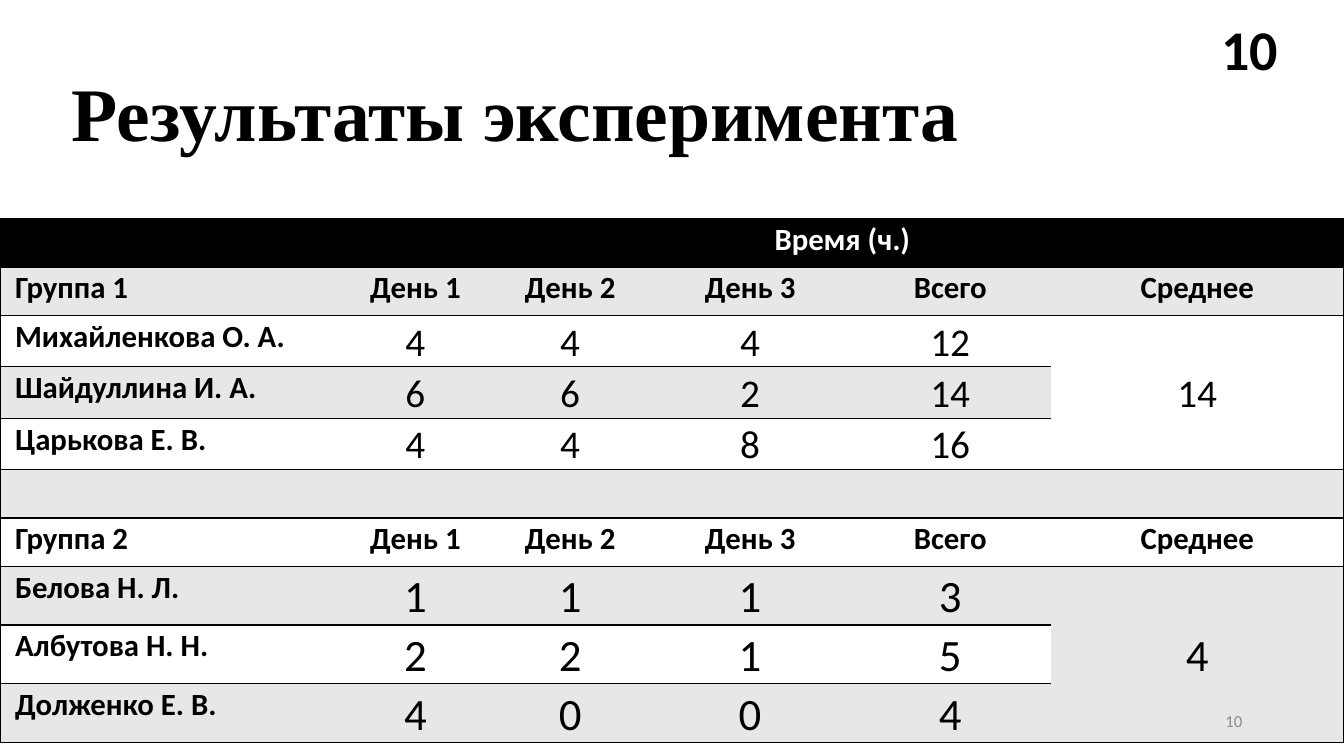
from pptx import Presentation
from pptx.dml.color import RGBColor
from pptx.enum.text import MSO_ANCHOR, MSO_AUTO_SIZE, PP_ALIGN
from pptx.oxml import parse_xml
from pptx.oxml.ns import nsdecls, qn
from pptx.util import Inches, Pt

BLACK = RGBColor(0x00, 0x00, 0x00)
WHITE = RGBColor(0xFF, 0xFF, 0xFF)
BAND = RGBColor(0xE7, 0xE7, 0xE7)
GRAY = RGBColor(0x8C, 0x8C, 0x8C)
PLAIN_STYLE = "{2D5ABB26-0587-4C30-8999-92F81FD0307C}"

COL_WIDTHS = [3.38, 1.48, 1.59, 1.98, 1.99, 2.91]
DAYS = ["День 1", "День 2", "День 3", "Всего", "Среднее"]
GROUPS = [
    ("Группа 1", 28, 0.51, 14, [
        ("Михайленкова О. А.", 4, 4, 4, 12),
        ("Шайдуллина И. А.", 6, 6, 2, 14),
        ("Царькова Е. В.", 4, 4, 8, 16)]),
    ("Группа 2", 32, 0.58, 4, [
        ("Белова Н. Л.", 1, 1, 1, 3),
        ("Албутова Н. Н.", 2, 2, 1, 5),
        ("Долженко Е. В.", 4, 0, 0, 4)]),
]
HEADER_HEIGHT = 0.48
LABEL_SIZE = 22


def format_text(tf, text, size, bold, color, align, font="Calibri"):
    tf.text = text
    p = tf.paragraphs[0]
    p.alignment = align
    p.font.name = font
    p.font.size = Pt(size)
    p.font.bold = bold
    p.font.color.rgb = color
    return p


def add_label(s, box, text, size, bold, color, align):
    sp = s.shapes.add_textbox(*map(Inches, box))
    tf = sp.text_frame
    tf.word_wrap = True
    tf.vertical_anchor = MSO_ANCHOR.MIDDLE
    format_text(tf, text, size, bold, color, align)


def set_title(s, box, text):
    sp = s.shapes.title
    sp.left, sp.top, sp.width, sp.height = map(Inches, box)
    tf = sp.text_frame
    tf.auto_size = MSO_AUTO_SIZE.NONE
    tf.vertical_anchor = MSO_ANCHOR.MIDDLE
    p = format_text(tf, text, 54, True, BLACK, PP_ALIGN.LEFT, "Times New Roman")
    p.line_spacing = 0.9


def set_borders(cell, sides):
    tcPr = cell._tc.get_or_add_tcPr()
    for i, side in enumerate(sides):
        tcPr.insert(i, parse_xml(
            f'<a:ln{side} {nsdecls("a")} w="12700"><a:solidFill>'
            f'<a:srgbClr val="{BLACK}"/></a:solidFill></a:ln{side}>'))


def fill_cell(cell, text, size=LABEL_SIZE, bold=True, color=BLACK,
              align=PP_ALIGN.CENTER):
    cell.margin_left = cell.margin_right = Inches(0.15)
    cell.margin_top = cell.margin_bottom = 0
    cell.vertical_anchor = MSO_ANCHOR.TOP if bold else MSO_ANCHOR.MIDDLE
    p = format_text(cell.text_frame, text, size, bold, color, align)
    p.line_spacing = 1.07


def add_results(s, left, top):
    heights = [HEADER_HEIGHT]
    for name, size, height, mean, people in GROUPS:
        heights += [HEADER_HEIGHT] + [height] * len(people) + [HEADER_HEIGHT]
    heights.pop()
    last = len(COL_WIDTHS) - 1
    frame = s.shapes.add_table(len(heights), len(COL_WIDTHS), Inches(left),
                               Inches(top), Inches(sum(COL_WIDTHS)),
                               Inches(sum(heights)))
    table = frame.table
    table._tbl.tblPr.find(qn("a:tableStyleId")).text = PLAIN_STYLE
    for column, width in zip(table.columns, COL_WIDTHS):
        column.width = Inches(width)
    for row, height in zip(table.rows, heights):
        row.height = Inches(height)

    table.cell(0, 1).merge(table.cell(0, last))
    fill_cell(table.cell(0, 1), "Время (ч.)", color=WHITE)
    r = 1
    for name, size, height, mean, people in GROUPS:
        fill_cell(table.cell(r, 0), name, align=PP_ALIGN.JUSTIFY)
        for c, day in enumerate(DAYS, 1):
            fill_cell(table.cell(r, c), day)
        table.cell(r + 1, last).merge(table.cell(r + len(people), last))
        fill_cell(table.cell(r + 1, last), str(mean), size, False)
        for i, (person, *hours) in enumerate(people, r + 1):
            fill_cell(table.cell(i, 0), person, align=PP_ALIGN.JUSTIFY)
            for c, value in enumerate(hours, 1):
                fill_cell(table.cell(i, c), str(value), size, False)
        r += len(people) + 2

    for r in range(len(heights)):
        for c in range(last + 1):
            cell = table.cell(r, c)
            cell.fill.solid()
            cell.fill.fore_color.rgb = BLACK if r == 0 else BAND if r % 2 else WHITE
            if not cell.is_spanned:
                sides = ["L"] if c == 0 else []
                if c == last or cell.is_merge_origin:
                    sides.append("R")
                set_borders(cell, sides + ["T", "B"])


prs = Presentation()
prs.slide_width = Inches(13.33)
prs.slide_height = Inches(7.5)
s = prs.slides.add_slide(prs.slide_layouts[5])
set_title(s, (0.61, 0.44, 11.5, 1.45), "Результаты эксперимента")
add_results(s, 0, 2.17)
add_label(s, (9.42, 6.95, 3, 0.4), "10", 12, False, GRAY, PP_ALIGN.RIGHT)
add_label(s, (11.87, 0.09, 1.05, 0.77), "10", 40, True, BLACK, PP_ALIGN.CENTER)
prs.save("out.pptx")
